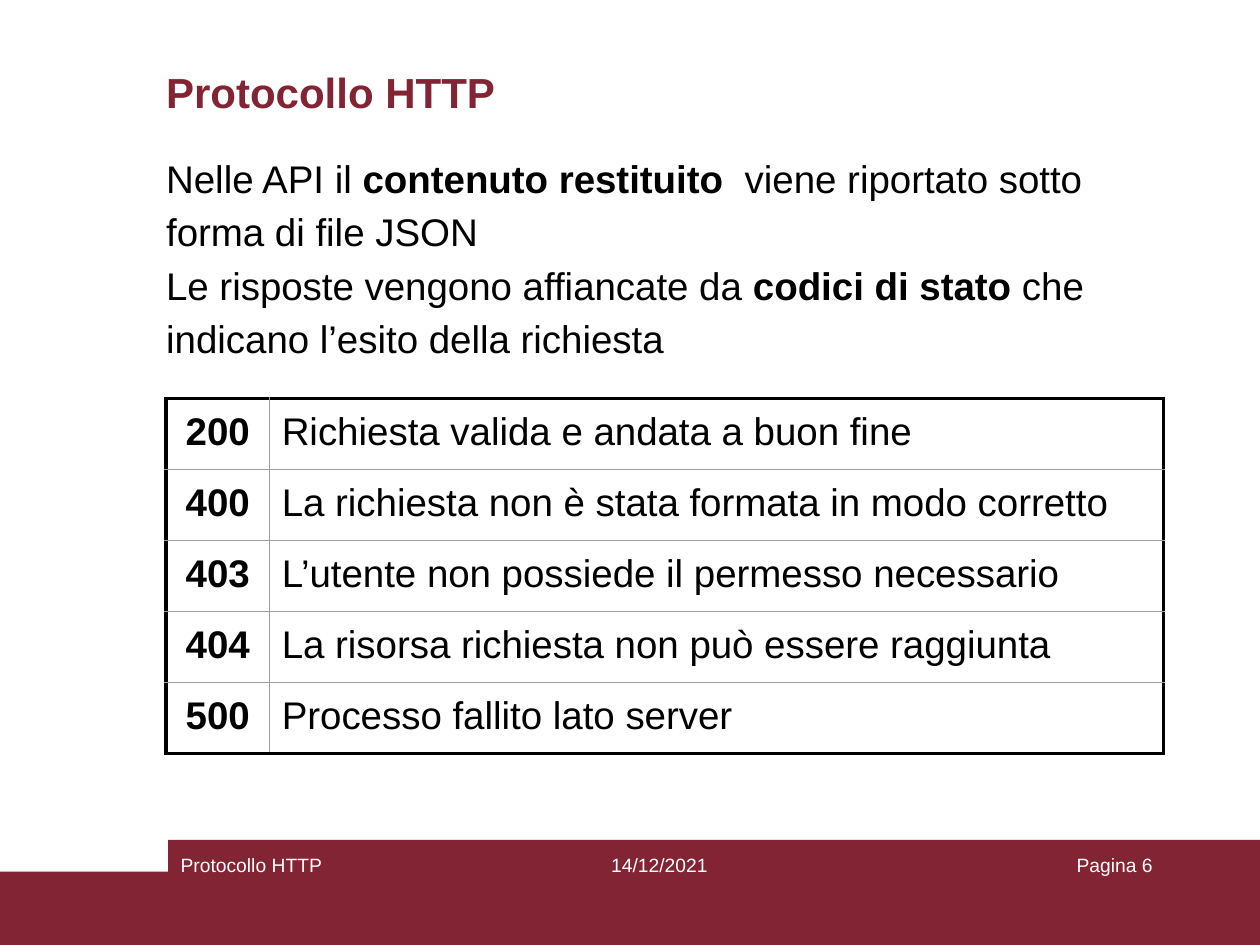
from pptx import Presentation
from pptx.dml.color import RGBColor
from pptx.enum.shapes import MSO_SHAPE
from pptx.enum.text import MSO_ANCHOR, PP_ALIGN
from pptx.oxml.ns import qn
from pptx.util import Cm, Pt
from lxml.etree import SubElement

FONT = "Arial"
MAROON = RGBColor(0x82, 0x24, 0x33)
BLACK = RGBColor(0, 0, 0)
GRAY = RGBColor(0x9E, 0x9E, 0x9E)
WHITE = RGBColor(0xFF, 0xFF, 0xFF)

# Each paragraph is a list of (text, bold) runs
BODY = [
    [("Nelle API il ", False), ("contenuto restituito", True),
     ("  viene riportato sotto forma di file JSON", False)],
    [("Le risposte vengono affiancate da ", False), ("codici di stato", True),
     (" che indicano l’esito della richiesta", False)],
]
STATUS_CODES = [
    ("200", "Richiesta valida e andata a buon fine"),
    ("400", "La richiesta non è stata formata in modo corretto"),
    ("403", "L’utente non possiede il permesso necessario"),
    ("404", "La risorsa richiesta non può essere raggiunta"),
    ("500", "Processo fallito lato server"),
]


def style(p, size, color, align=PP_ALIGN.LEFT):
    p.alignment = align
    p.font.name = FONT
    p.font.size = Pt(size)
    p.font.color.rgb = color


def add_band(s, left, top, width, height):
    sp = s.shapes.add_shape(MSO_SHAPE.RECTANGLE, Cm(left), Cm(top), Cm(width), Cm(height))
    sp.shadow.inherit = False
    sp.fill.solid()
    sp.fill.fore_color.rgb = MAROON
    sp.line.fill.background()


def add_text(s, box, paragraphs, size, color, align=PP_ALIGN.LEFT,
             anchor=MSO_ANCHOR.TOP, spacing=None):
    tf = s.shapes.add_textbox(*(Cm(v) for v in box)).text_frame
    tf.word_wrap = True
    tf.vertical_anchor = anchor
    for i, runs in enumerate(paragraphs):
        p = tf.add_paragraph() if i else tf.paragraphs[0]
        style(p, size, color, align)
        p.line_spacing = spacing
        for text, bold in runs:
            r = p.add_run()
            r.text = text
            r.font.bold = bold


def set_border(cell, side, outer):
    width, color = (Pt(2.25), BLACK) if outer else (Pt(0.75), GRAY)
    ln = SubElement(cell._tc.get_or_add_tcPr(), qn(f"a:ln{side}"), w=str(width))
    fill = SubElement(ln, qn("a:solidFill"))
    SubElement(fill, qn("a:srgbClr"), val=str(color))


def add_status_table(s):
    n = len(STATUS_CODES)
    frame = s.shapes.add_table(n, 2, Cm(3.35), Cm(8.03), Cm(20.11), Cm(6.9))
    table = frame.table
    table.first_row = table.horz_banding = False
    table.columns[0].width, table.columns[1].width = Cm(2.08), Cm(18.03)
    for i, row in enumerate(STATUS_CODES):
        table.rows[i].height = Cm(1.37 if i else 1.42)
        for j, text in enumerate(row):
            cell = table.cell(i, j)
            cell.margin_left = cell.margin_right = Cm(0.25)
            cell.margin_top = cell.margin_bottom = Cm(0.25)
            cell.text = text
            p = cell.text_frame.paragraphs[0]
            style(p, 22, BLACK, PP_ALIGN.LEFT if j else PP_ALIGN.CENTER)
            p.font.bold = j == 0
            # Thick outline, thin inner lines; borders precede the fill
            for side, outer in (("L", j == 0), ("R", j == 1),
                                ("T", i == 0), ("B", i == n - 1)):
                set_border(cell, side, outer)
            cell.fill.background()


def main():
    prs = Presentation()
    prs.slide_width, prs.slide_height = Cm(25.4), Cm(19.05)
    s = prs.slides.add_slide(prs.slide_layouts[6])

    # Footer
    add_band(s, 0, 17.57, 25.4, 1.48)
    add_band(s, 3.39, 16.93, 22.01, 2.12)
    for left, width, text, align in (
        (3.39, 8.05, "Protocollo HTTP", PP_ALIGN.LEFT),
        (12.07, 5.29, "14/12/2021", PP_ALIGN.LEFT),
        (18.2, 5.29, "Pagina 6", PP_ALIGN.RIGHT),
    ):
        add_text(s, (left, 17.07, width, 1.27), [[(text, False)]], 11, WHITE, align)

    # Title and body
    add_text(s, (3.1, 1.14, 20.6, 1.4), [[("Protocollo HTTP", True)]], 24, MAROON,
             anchor=MSO_ANCHOR.MIDDLE)
    add_text(s, (3.1, 2.87, 20.57, 4.78), BODY, 22, BLACK, spacing=1.15)

    # Status codes
    add_status_table(s)

    prs.save("out.pptx")


if __name__ == "__main__":
    main()
